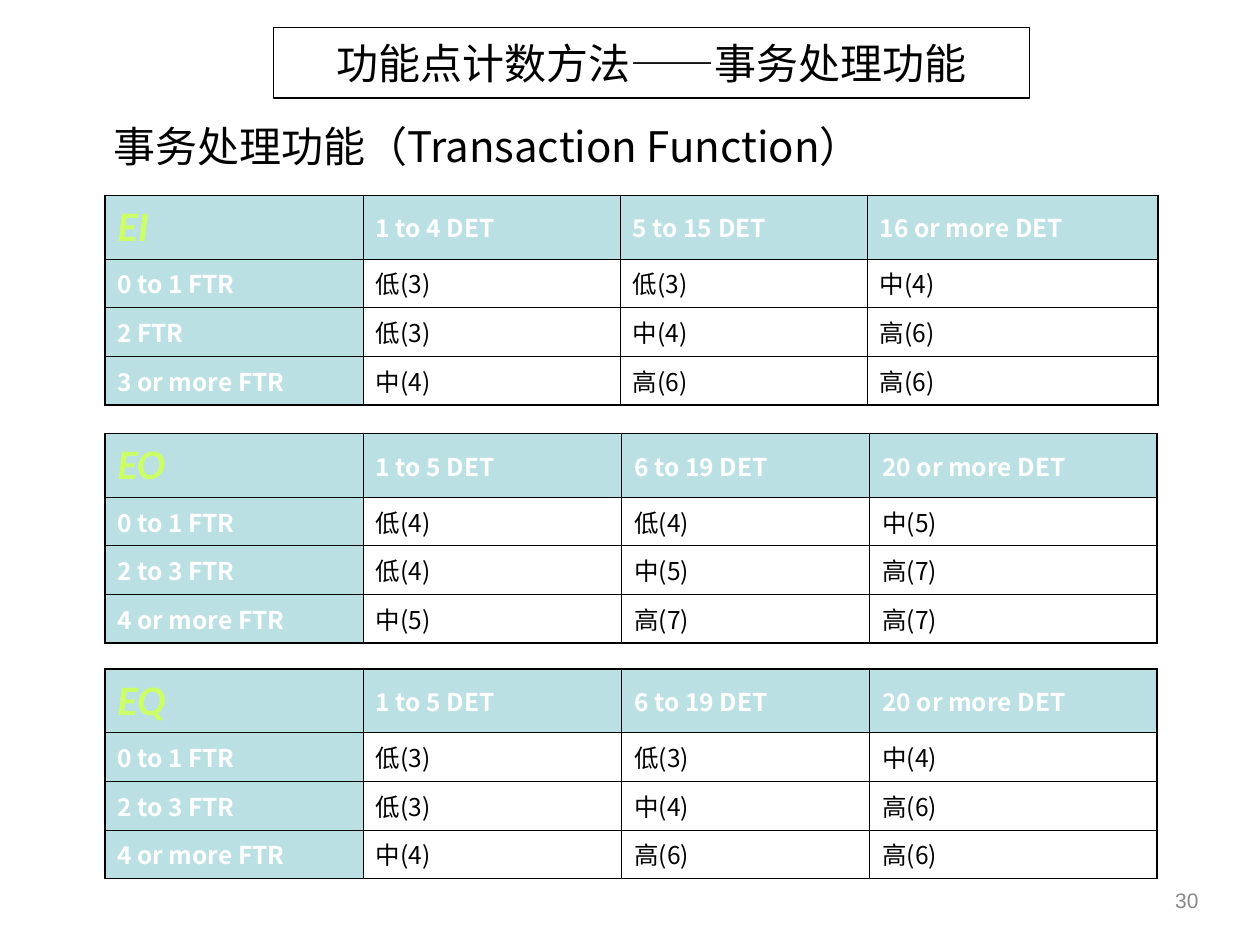
from dataclasses import dataclass

from lxml.etree import SubElement
from pptx import Presentation
from pptx.dml.color import RGBColor
from pptx.enum.shapes import MSO_SHAPE as Preset
from pptx.enum.text import MSO_ANCHOR as Anchor, PP_ALIGN as Align
from pptx.oxml.ns import qn
from pptx.util import Cm, Pt

CJK = "Noto Sans CJK SC"
BLACK, WHITE, TEAL, LIME, GRAY = "000000", "FFFFFF", "BBE0E3", "CCFF66", "898989"

HEADING = {"size": Pt(24), "name": CJK}
CORNER = {"size": Pt(24), "name": "Calibri", "bold": True, "italic": True}
LABEL = {"size": Pt(14), "name": CJK, "bold": True}
RATING = {"size": Pt(14), "name": CJK, "bold": False}
PAGE_NUMBER = {"size": Pt(12), "name": "Arial"}

LEVELS = ("低", "中", "高")
TABLE_LEFT = 2.11
HEADER_HEIGHT, BODY_HEIGHT = 1.28, 0.98
THIN, THICK = Pt(0.45), Pt(1.08)


@dataclass(frozen=True)
class Matrix:
    name: str
    top: float
    widths: tuple[float, ...]
    det_ranges: tuple[str, ...]
    ftr_ranges: tuple[str, ...]
    scores: tuple[int, ...]

    def rating(self, row: int, column: int) -> str:
        """Complexity rises by one level for each diagonal of the matrix."""
        level = min(max(row + column - 1, 0), 2)
        return f"{LEVELS[level]}({self.scores[level]})"


WIDE = (5.21, 5.21, 5, 5.79)
OUTPUT_DET = ("1 to 5 DET", "6 to 19 DET", "20 or more DET")
OUTPUT_FTR = ("0 to 1 FTR", "2 to 3 FTR", "4 or more FTR")
MATRICES = (
    Matrix("EI", 3.94, (5.21, 5.18, 4.98, 5.87),
           ("1 to 4 DET", "5 to 15 DET", "16 or more DET"),
           ("0 to 1 FTR", "2 FTR", "3 or more FTR"), (3, 4, 6)),
    Matrix("EO", 8.74, WIDE, OUTPUT_DET, OUTPUT_FTR, (4, 5, 7)),
    Matrix("EQ", 13.49, WIDE, OUTPUT_DET, OUTPUT_FTR, (3, 4, 6)),
)


def rgb(value: str) -> RGBColor:
    return RGBColor.from_string(value)


def write(frame, text: str, style: dict, color: str, align=Align.LEFT) -> None:
    para = frame.paragraphs[0]
    para.alignment = align
    span = para.add_run()
    span.text = text
    for attribute, value in style.items():
        setattr(span.font, attribute, value)
    span.font.color.rgb = rgb(color)
    SubElement(span.font._element, qn("a:ea"), typeface=style["name"])


def add_box(page, bounds: tuple[float, ...], text: str, style: dict, color: str,
            align, framed: bool = False) -> None:
    area = [Cm(length) for length in bounds]
    if framed:
        box = page.shapes.add_shape(Preset.RECTANGLE, *area)
        box.shadow.inherit = False
        box.fill.solid()
        box.fill.fore_color.rgb = rgb(WHITE)
        box.line.color.rgb = rgb(BLACK)
        box.line.width = Pt(0.75)
    else:
        box = page.shapes.add_textbox(*area)
    box.text_frame.word_wrap = True
    box.text_frame.vertical_anchor = Anchor.MIDDLE
    write(box.text_frame, text, style, color, align)


def set_borders(cell, thick_sides: dict[str, bool]) -> None:
    properties = cell._tc.get_or_add_tcPr()
    for side, thick in thick_sides.items():
        line = SubElement(properties, qn(f"a:ln{side}"), w=str(THICK if thick else THIN))
        fill = SubElement(line, qn("a:solidFill"))
        SubElement(fill, qn("a:srgbClr"), val=BLACK)


def add_matrix(page, matrix: Matrix) -> None:
    heights = (HEADER_HEIGHT,) + (BODY_HEIGHT,) * len(matrix.ftr_ranges)
    last_row, last_column = len(heights) - 1, len(matrix.widths) - 1
    table = page.shapes.add_table(
        len(heights), len(matrix.widths), Cm(TABLE_LEFT), Cm(matrix.top),
        Cm(sum(matrix.widths)), Cm(sum(heights))).table
    table.first_row = table.horz_banding = False
    for column, width in zip(table.columns, matrix.widths):
        column.width = Cm(width)
    for row, height in zip(table.rows, heights):
        row.height = Cm(height)

    for r in range(last_row + 1):
        for c in range(last_column + 1):
            cell = table.cell(r, c)
            cell.vertical_anchor = Anchor.MIDDLE
            set_borders(cell, {"L": c == 0, "R": c == last_column,
                               "T": r == 0, "B": r == last_row})
            if r and c:
                cell.fill.background()
                write(cell.text_frame, matrix.rating(r - 1, c - 1), RATING, BLACK)
                continue
            cell.fill.solid()
            cell.fill.fore_color.rgb = rgb(TEAL)
            if r == c:
                write(cell.text_frame, matrix.name, CORNER, LIME)
            else:
                label = matrix.ftr_ranges[r - 1] if r else matrix.det_ranges[c - 1]
                write(cell.text_frame, label, LABEL, WHITE)


def main() -> None:
    deck = Presentation()
    deck.slide_width, deck.slide_height = Cm(25.4), Cm(19.05)
    page = deck.slides.add_slide(deck.slide_layouts[6])
    add_box(page, (5.51, 0.56, 15.24, 1.42), "功能点计数方法——事务处理功能",
            HEADING, BLACK, Align.CENTER, framed=True)
    add_box(page, (1.7, 2.31, 16.26, 1.27), "事务处理功能（Transaction Function）",
            HEADING, BLACK, Align.CENTER)
    for matrix in MATRICES:
        add_matrix(page, matrix)
    add_box(page, (18.49, 17.48, 5.92, 1.32), "30", PAGE_NUMBER, GRAY, Align.RIGHT)
    deck.save("out.pptx")


if __name__ == "__main__":
    main()
